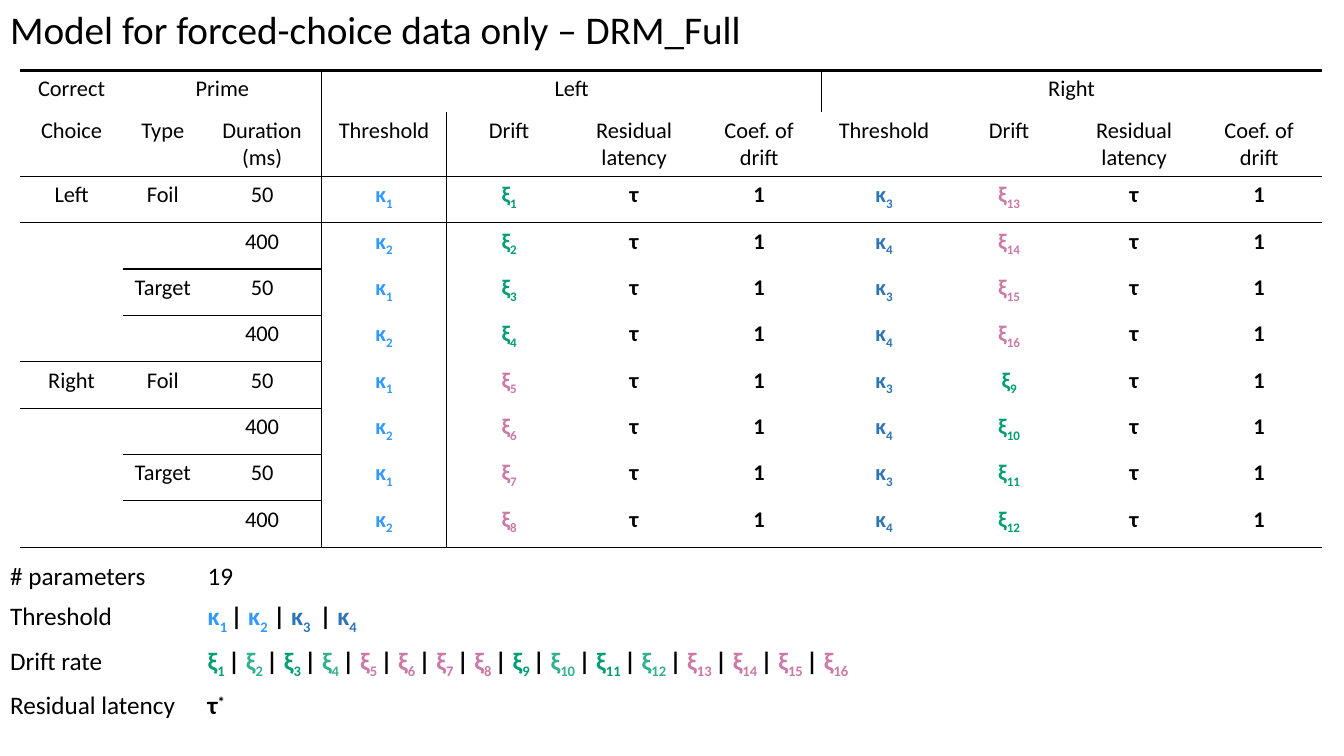
from lxml import etree
from pptx import Presentation
from pptx.dml.color import RGBColor
from pptx.enum.text import MSO_ANCHOR, MSO_AUTO_SIZE, PP_ALIGN
from pptx.oxml.ns import qn
from pptx.util import Inches, Pt

LEFT, CENTER = PP_ALIGN.LEFT, PP_ALIGN.CENTER
TOP = MSO_ANCHOR.TOP
FIT_SHAPE = MSO_AUTO_SIZE.SHAPE_TO_FIT_TEXT

TITLE_ONLY_LAYOUT = 5
PLAIN_TABLE_STYLE = "{2D5ABB26-0587-4C30-8999-92F81FD0307C}"
FONT = "Calibri"
BLACK, WHITE = "000000", "FFFFFF"
LIGHT_BLUE, DARK_BLUE = "3399FF", "2E75B6"
GREEN, LIGHT_GREEN, PINK = "009E73", "32B18E", "CC79A7"
SUBSCRIPT, SUPERSCRIPT = -25, 30

MODEL_SIZE, SUMMARY_SIZE = 16, 18
LABEL_COLUMNS = 3
HEADER_ROWS = 2
CONDITIONS = 8
MEASURES = ["Threshold", "Drift", "Residual latency", "Coef. of\ndrift"]
THRESHOLDS = [("1 ", "| "), ("2", " | "), ("3 ", " | "), ("4", "")]
DRIFT_COUNT = 16


def rgb(color):
    return RGBColor.from_string(color)


def add_text(paragraph, text, size, color=BLACK, bold=False, baseline=0):
    run = paragraph.add_run()
    run.text = text
    run.font.name = FONT
    run.font.size = Pt(size)
    run.font.bold = bold
    run.font.color.rgb = rgb(color)
    if baseline:
        run._r.get_or_add_rPr().set("baseline", str(baseline * 1000))


def add_symbol(paragraph, letter, index, size, color, shift=SUBSCRIPT):
    add_text(paragraph, letter, size, color=color, bold=True)
    add_text(paragraph, index, size, color=color, bold=True, baseline=shift)


def threshold_color(index):
    return LIGHT_BLUE if index <= 2 else DARK_BLUE


def drift_color(index):
    """Indices run in fours: green, pink, green, pink."""
    return PINK if (index - 1) // 4 % 2 else GREEN


def add_plain_table(slide, left, top, widths, heights):
    frame = slide.shapes.add_table(
        len(heights), len(widths), Inches(left), Inches(top),
        Inches(sum(widths)), Inches(sum(heights)))
    table = frame.table
    table.first_row = table.horz_banding = False
    table._tbl.tblPr.find(qn("a:tableStyleId")).text = PLAIN_TABLE_STYLE
    for column, width in zip(table.columns, widths):
        column.width = Inches(width)
    for row, height in zip(table.rows, heights):
        row.height = Inches(height)
    return table


def rule_weight(boundary, column):
    """Weight in points of the rule above row number boundary, or 0."""
    if boundary == 0:
        return 2.25
    if boundary in (HEADER_ROWS, HEADER_ROWS + CONDITIONS):
        return 1
    condition = boundary - HEADER_ROWS
    first_column = {0: 0, 2: 1}.get(condition % 4, 2)
    return 1 if condition > 0 and first_column <= column < LABEL_COLUMNS else 0


def add_borders(cell, row, column):
    weights = {
        "a:lnL": int(column == LABEL_COLUMNS),
        "a:lnR": int(column == LABEL_COLUMNS - 1),
        "a:lnT": rule_weight(row, column),
        "a:lnB": rule_weight(row + 1, column),
    }
    properties = cell._tc.get_or_add_tcPr()
    for tag, weight in weights.items():
        if weight:
            line = etree.SubElement(properties, qn(tag), w=str(Pt(weight)))
            fill = etree.SubElement(line, qn("a:solidFill"))
            etree.SubElement(fill, qn("a:srgbClr"), val=BLACK)


def add_title(slide, left, top, width, height):
    title = slide.shapes.title
    title.left, title.top = Inches(left), Inches(top)
    title.width, title.height = Inches(width), Inches(height)
    frame = title.text_frame
    frame.word_wrap = False
    frame.auto_size = FIT_SHAPE
    frame.vertical_anchor = TOP
    frame.paragraphs[0].alignment = LEFT
    add_text(frame.paragraphs[0], "Model for forced-choice data only – DRM_Full", 28)


def write_label(cell, label, bold=False):
    frame = cell.text_frame
    for number, line in enumerate(label.split("\n")):
        paragraph = frame.add_paragraph() if number else frame.paragraphs[0]
        paragraph.alignment = CENTER
        add_text(paragraph, line, MODEL_SIZE, bold=bold)


def write_symbol(cell, letter, index, color):
    paragraph = cell.text_frame.paragraphs[0]
    paragraph.alignment = CENTER
    add_symbol(paragraph, letter, str(index), MODEL_SIZE, color)


def write_headers(table):
    for column, label, span in [(0, "Correct", 1), (1, "Prime", 2),
                                (3, "Left", 4), (7, "Right", 4)]:
        if span > 1:
            table.cell(0, column).merge(table.cell(0, column + span - 1))
        write_label(table.cell(0, column), label)
    for column, label in enumerate(["Choice", "Type", "Duration (ms)"] + MEASURES * 2):
        write_label(table.cell(1, column), label)


def write_condition(table, condition):
    row = HEADER_ROWS + condition
    if condition % 4 == 0:
        write_label(table.cell(row, 0), "Right" if condition // 4 else "Left")
    if condition % 2 == 0:
        write_label(table.cell(row, 1), "Target" if condition % 4 else "Foil")
    write_label(table.cell(row, 2), "400" if condition % 2 else "50")

    right_drift = condition + (13 if condition < 4 else 5)
    for side, drift in enumerate([condition + 1, right_drift]):
        threshold = 1 + condition % 2 + 2 * side
        column = LABEL_COLUMNS + side * len(MEASURES)
        write_symbol(table.cell(row, column), "κ", threshold, threshold_color(threshold))
        write_symbol(table.cell(row, column + 1), "ξ", drift, drift_color(drift))
        write_label(table.cell(row, column + 2), "τ", bold=True)
        write_label(table.cell(row, column + 3), "1", bold=True)


def add_model_table(slide, left, top):
    widths = [1.02, 0.79, 1.18] + [1.24] * 2 * len(MEASURES)
    heights = [0.41, 0.64] + [0.46] * CONDITIONS
    table = add_plain_table(slide, left, top, widths, heights)
    write_headers(table)
    for condition in range(CONDITIONS):
        write_condition(table, condition)
    for row in range(len(heights)):
        for column in range(len(widths)):
            cell = table.cell(row, column)
            add_borders(cell, row, column)
            cell.fill.background()


def add_summary_table(slide, left, top):
    table = add_plain_table(slide, left, top, [1.96, 11.26], [0.4, 0.44, 0.44, 0.44])
    labels = ["# parameters", "Threshold", "Drift rate", "Residual latency"]
    for row, label in enumerate(labels):
        add_text(table.cell(row, 0).text_frame.paragraphs[0], label, SUMMARY_SIZE)
    count, thresholds, drifts, latency = [
        table.cell(row, 1).text_frame.paragraphs[0] for row in range(len(labels))]

    add_text(count, "19", SUMMARY_SIZE)
    for index, separator in THRESHOLDS:
        add_symbol(thresholds, "κ", index, SUMMARY_SIZE, threshold_color(int(index)))
        if separator:
            add_text(thresholds, separator, SUMMARY_SIZE, bold=True)
    for index in range(1, DRIFT_COUNT + 1):
        color = drift_color(index)
        if color == GREEN and index % 2 == 0:
            color = LIGHT_GREEN
        last = index == DRIFT_COUNT
        add_symbol(drifts, "ξ", f"{index}" if last else f"{index} ", SUMMARY_SIZE, color)
        if not last:
            add_text(drifts, "| ", SUMMARY_SIZE, bold=True)
    add_symbol(latency, "τ", "*", SUMMARY_SIZE, BLACK, shift=SUPERSCRIPT)

    for cell in table.iter_cells():
        cell.fill.solid()
        cell.fill.fore_color.rgb = rgb(WHITE)


def main():
    presentation = Presentation()
    presentation.slide_width = Inches(13.33)
    presentation.slide_height = Inches(7.5)
    slide = presentation.slides.add_slide(presentation.slide_layouts[TITLE_ONLY_LAYOUT])
    add_title(slide, 0, 0, 7.53, 0.57)
    add_model_table(slide, 0.2, 0.7)
    add_summary_table(slide, 0, 5.52)
    presentation.save("out.pptx")


if __name__ == "__main__":
    main()
